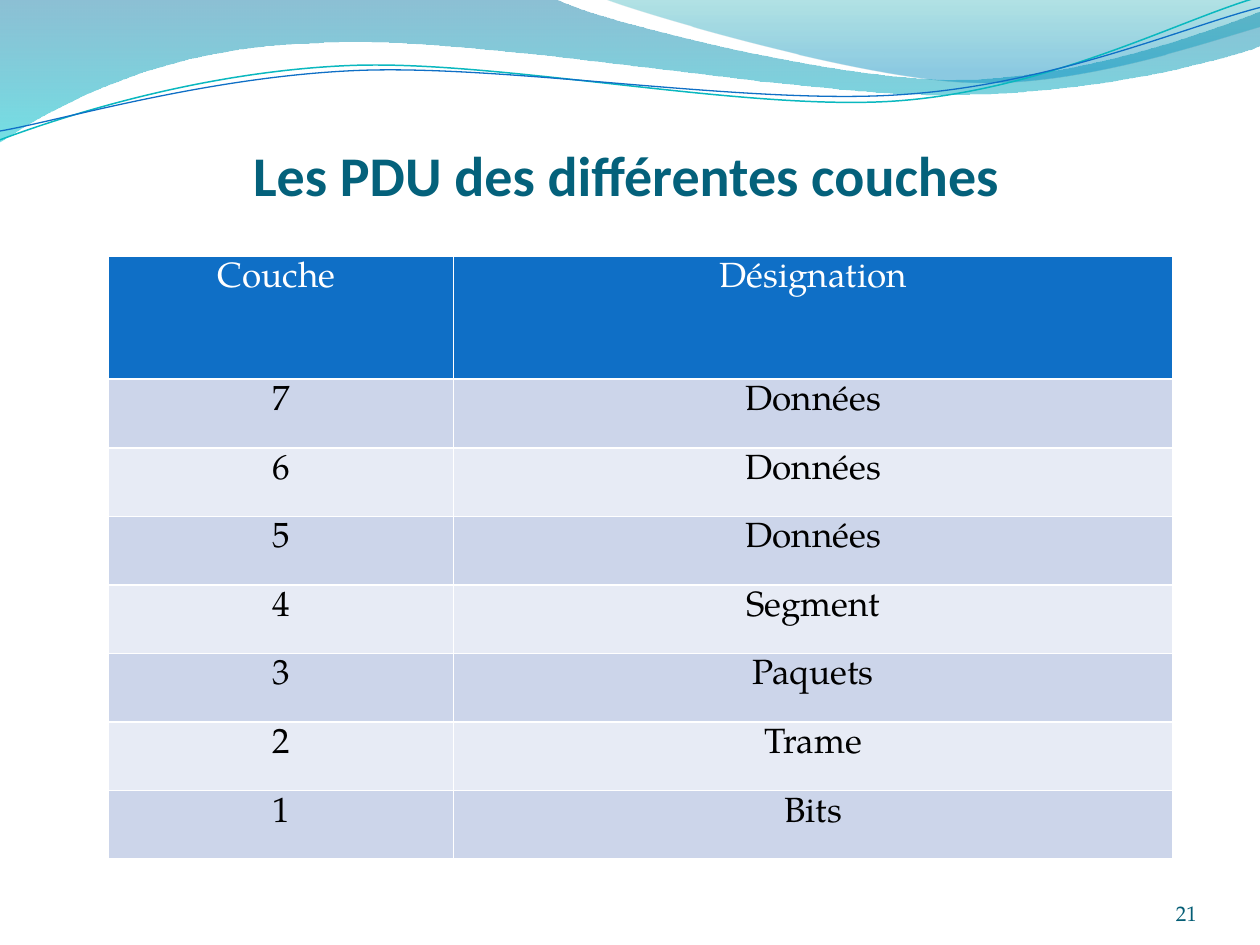
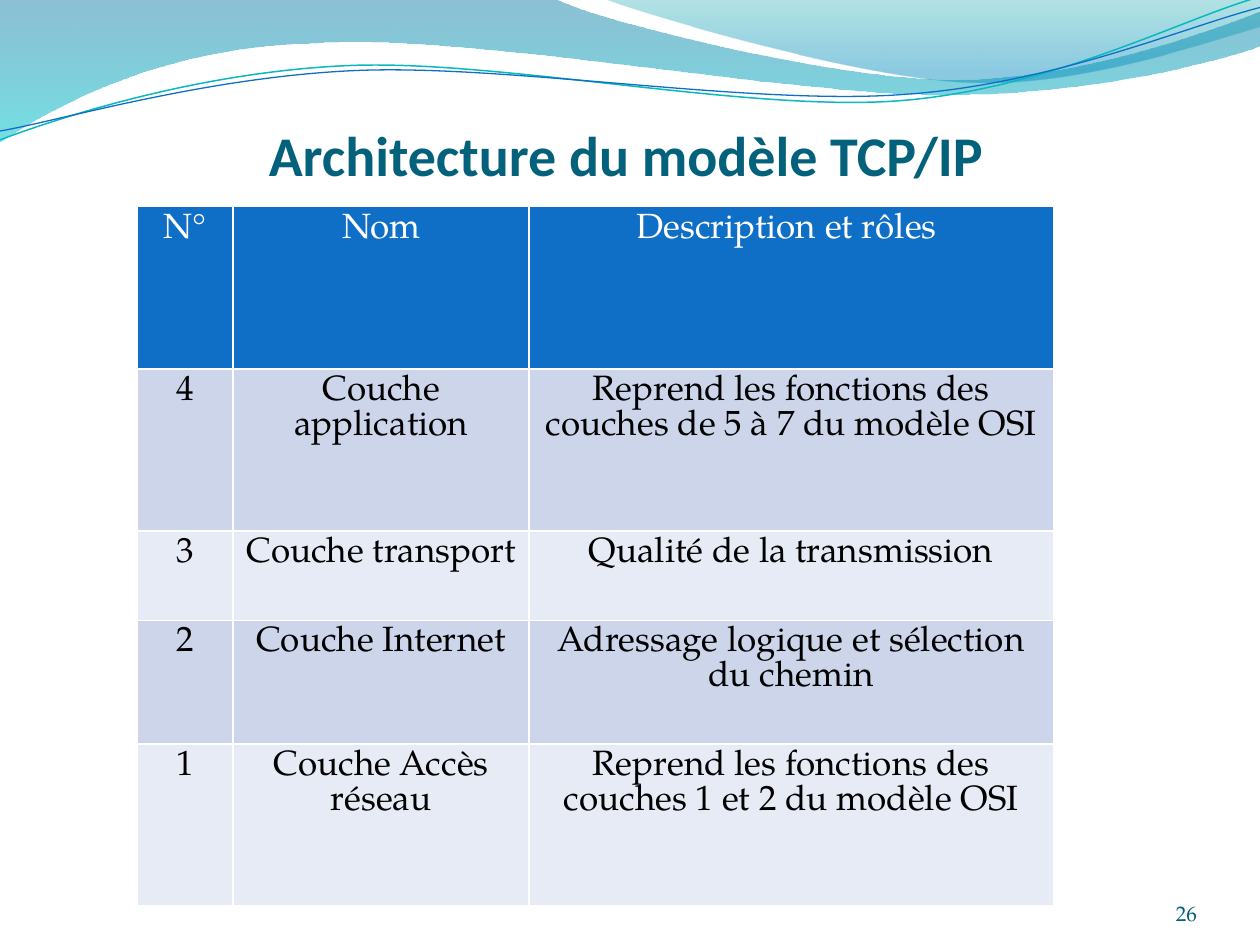
import math
from dataclasses import dataclass

import pptx
import pptx.dml.color
import pptx.enum.text
import pptx.oxml
import pptx.oxml.ns
import pptx.presentation
import pptx.shapes.autoshape
import pptx.slide
import pptx.table
import pptx.text.text
import pptx.util
from pptx.util import Inches

TITLE_FONT = "Calibri"
BODY_FONT = "TeX Gyre Pagella"
TITLE_COLOUR = "04617B"
NUMBER_COLOUR = "045D75"
HEADER_FILL = "0F6FC6"
BAND_FILLS = ("CCD5EA", "E7EBF5")
WHITE = "FFFFFF"
BLACK = "000000"
LINE_ROTATION = 357.3

PP_ALIGN = pptx.enum.text.PP_ALIGN
qn = pptx.oxml.ns.qn
Point = tuple[float, float]


@dataclass(frozen=True)
class GradientStop:
    position: float
    colour: str
    opacity: int


@dataclass(frozen=True)
class Wave:
    """Outline in inches; a segment has one point (line) or three (cubic curve)."""
    start: Point
    segments: tuple[tuple[Point, ...], ...]
    gradient: tuple[GradientStop, ...] = ()
    line_colour: str = ""
    line_width: float = 0
    rotation: float = 0
    centre: Point = (0, 0)


@dataclass(frozen=True)
class TableSlide:
    title: str
    title_top: float
    number: int
    left: float
    top: float
    columns: tuple[float, ...]
    rows: tuple[float, ...]
    cells: tuple[tuple[str, ...], ...]


WAVES = (
    Wave((0, 0), (
        ((4.4, -0.01),),
        ((4.76, 0.17), (6.64, 0.63), (7.58, 0.63)),
        ((8.53, 0.63), (9.58, 0.26), (10, 0.09)),
        ((10.01, 0.36),),
        ((9.83, 0.44), (8.7, 0.76), (7.46, 0.75)),
        ((6.22, 0.75), (3.82, 0.28), (2.57, 0.34)),
        ((1.29, 0.36), (0.46, 0.83), (-0.01, 1.13)),
        ((0, 0),),
    ), gradient=(GradientStop(0, "0074A1", 45), GradientStop(1, "00C6CF", 55))),
    Wave((4.79, -0.01), (
        ((5.09, 0.11), (6.82, 0.62), (7.69, 0.65)),
        ((8.56, 0.69), (9.61, 0.32), (10, 0.21)),
        ((10, 0),),
        ((4.79, -0.01),),
    ), gradient=(GradientStop(0, "00A1A9", 30), GradientStop(0.8, "008BBF", 45))),
    Wave((0, 1.11), (
        ((0.48, 0.93), (1.58, 0.57), (2.77, 0.52)),
        ((3.95, 0.47), (5.93, 0.89), (7.13, 0.8)),
        ((8.33, 0.71), (9.38, 0.15), (9.98, -0.02)),
    ), line_colour="0AB8BF", line_width=0.85, rotation=LINE_ROTATION, centre=(4.99, 0.58)),
    Wave((0, 1.04), (
        ((0.47, 0.96), (1.64, 0.61), (2.83, 0.56)),
        ((4.03, 0.51), (5.97, 0.84), (7.17, 0.75)),
        ((8.36, 0.67), (9.41, 0.21), (10, 0.06)),
    ), line_colour="0F6FC6", line_width=0.75, rotation=LINE_ROTATION, centre=(5, 0.59)),
)

PDU_HEADER_HEIGHT = 0.98
PDU_ROW_HEIGHT = (4.79 - PDU_HEADER_HEIGHT) / 7
TCP_TALL_ROW = (5.55 - 0.71 - 0.98) / 3

SLIDES = (
    TableSlide(
        "Les PDU des différentes couches", 1.02, 21, 0.86, 2.03,
        (2.74, 5.71), (PDU_HEADER_HEIGHT,) + (PDU_ROW_HEIGHT,) * 7,
        (
            ("Couche ", " Désignation "),
            ("7", "Données"),
            ("6", "Données"),
            ("5", "Données"),
            ("4", "Segment"),
            ("3", "Paquets"),
            ("2", "Trame"),
            ("1", "Bits"),
        ),
    ),
    TableSlide(
        "Architecture du modèle TCP/IP", 0.86, 26, 1.09, 1.64,
        (0.76, 2.35, 4.16), (TCP_TALL_ROW, TCP_TALL_ROW, 0.71, 0.98, TCP_TALL_ROW),
        (
            ("N°", "Nom", "Description et rôles "),
            ("4", "Couche application",
             "Reprend les fonctions des couches de 5 à 7 du modèle OSI"),
            ("3", "Couche transport", "Qualité de la transmission"),
            ("2", "Couche Internet", "Adressage logique et sélection du chemin"),
            ("1", "Couche Accès réseau",
             "Reprend les fonctions des couches 1 et 2 du modèle OSI"),
        ),
    ),
)


def rgb(colour: str) -> pptx.dml.color.RGBColor:
    return pptx.dml.color.RGBColor.from_string(colour)


def write(tf: pptx.text.text.TextFrame, text: str, size: float, colour: str,
          align: PP_ALIGN, font: str = BODY_FONT, bold: bool = False) -> None:
    tf.text = text
    p = tf.paragraphs[0]
    p.alignment = align
    p.font.name = font
    p.font.size = pptx.util.Pt(size)
    p.font.bold = bold
    p.font.color.rgb = rgb(colour)


def frame(tf: pptx.text.text.TextFrame, top_inset: float) -> None:
    """Wrap the text and sit it on the bottom edge."""
    tf.word_wrap = True
    tf.auto_size = pptx.enum.text.MSO_AUTO_SIZE.NONE
    tf.vertical_anchor = pptx.enum.text.MSO_ANCHOR.BOTTOM
    tf.margin_left = tf.margin_right = tf.margin_bottom = 0
    tf.margin_top = Inches(top_inset)


def unrotate(point: Point, wave: Wave) -> Point:
    """Place a point, in EMU, as it lies before the shape is rotated."""
    angle = math.radians(-wave.rotation)
    dx, dy = point[0] - wave.centre[0], point[1] - wave.centre[1]
    x = wave.centre[0] + dx * math.cos(angle) - dy * math.sin(angle)
    y = wave.centre[1] + dx * math.sin(angle) + dy * math.cos(angle)
    return Inches(x), Inches(y)


def add_outline(s: pptx.slide.Slide, wave: Wave) -> pptx.shapes.autoshape.Shape:
    """Build the outline through all points, then join each three into a cubic curve."""
    points = [unrotate(point, wave) for segment in wave.segments for point in segment]
    builder = s.shapes.build_freeform(*unrotate(wave.start, wave))
    builder.add_line_segments(points, close=bool(wave.gradient))
    sp = builder.convert_to_shape()
    lines = iter(list(sp._element.spPr.iter(qn("a:lnTo"))))
    for segment in wave.segments:
        first, *others = [next(lines) for _ in segment]
        if others:
            first.tag = qn("a:cubicBezTo")
        for line in others:
            first.append(line[0])
            line.getparent().remove(line)
    sp.rotation = wave.rotation
    return sp


def draw_wave(s: pptx.slide.Slide, wave: Wave) -> None:
    sp = add_outline(s, wave)
    sp.shadow.inherit = False
    if not wave.gradient:
        sp.fill.background()
        sp.line.color.rgb = rgb(wave.line_colour)
        sp.line.width = pptx.util.Pt(wave.line_width)
        return
    sp.line.fill.background()
    sp.fill.gradient()
    sp.fill.gradient_angle = 270
    for stop, wanted in zip(sp.fill.gradient_stops, wave.gradient):
        stop.position = wanted.position
        stop.color.rgb = rgb(wanted.colour)
    colours = sp._element.spPr.iter(qn("a:srgbClr"))
    for colour, wanted in zip(colours, wave.gradient):
        colour.append(pptx.oxml.parse_xml(
            f'<a:alpha {pptx.oxml.ns.nsdecls("a")} val="{wanted.opacity * 1000}"/>'))


def add_borders(cell: pptx.table._Cell) -> None:
    tc_pr = cell._tc.get_or_add_tcPr()
    for side in "LRTB":
        tc_pr.append(pptx.oxml.parse_xml(
            f'<a:ln{side} {pptx.oxml.ns.nsdecls("a")} w="{pptx.util.Pt(1)}"><a:solidFill>'
            f'<a:srgbClr val="{WHITE}"/></a:solidFill></a:ln{side}>'))


def draw_table(s: pptx.slide.Slide, content: TableSlide) -> None:
    table = s.shapes.add_table(
        len(content.rows), len(content.columns),
        Inches(content.left), Inches(content.top),
        Inches(sum(content.columns)), Inches(sum(content.rows))).table
    table.first_row = table.horz_banding = False
    for column, width in zip(table.columns, content.columns):
        column.width = Inches(width)
    for i, (row, height) in enumerate(zip(table.rows, content.rows)):
        row.height = Inches(height)
        is_header = i == 0
        for cell, text in zip(row.cells, content.cells[i]):
            write(cell.text_frame, text, 20, WHITE if is_header else BLACK, PP_ALIGN.CENTER)
            cell.text_frame.paragraphs[0].line_spacing = pptx.util.Pt(20)
            add_borders(cell)
            cell.fill.solid()
            cell.fill.fore_color.rgb = rgb(HEADER_FILL if is_header else BAND_FILLS[(i - 1) % 2])


def add_slide(prs: pptx.presentation.Presentation, content: TableSlide) -> None:
    s = prs.slides.add_slide(prs.slide_layouts.get_by_name("Title Only"))
    for wave in WAVES:
        draw_wave(s, wave)

    title = s.shapes.title
    title.left, title.top = Inches(0.47), Inches(content.title_top)
    title.width, title.height = Inches(9), Inches(0.63)
    frame(title.text_frame, 0.05)
    write(title.text_frame, content.title, 32, TITLE_COLOUR, PP_ALIGN.CENTER,
          TITLE_FONT, bold=True)

    draw_table(s, content)

    number = s.shapes.add_textbox(Inches(8.67), Inches(6.95), Inches(0.83), Inches(0.4))
    frame(number.text_frame, 0)
    write(number.text_frame, str(content.number), 12, NUMBER_COLOUR, PP_ALIGN.RIGHT)


def main() -> None:
    prs = pptx.Presentation()
    prs.slide_width, prs.slide_height = Inches(10), Inches(7.5)
    for content in SLIDES:
        add_slide(prs, content)
    prs.save("out.pptx")


if __name__ == "__main__":
    main()
